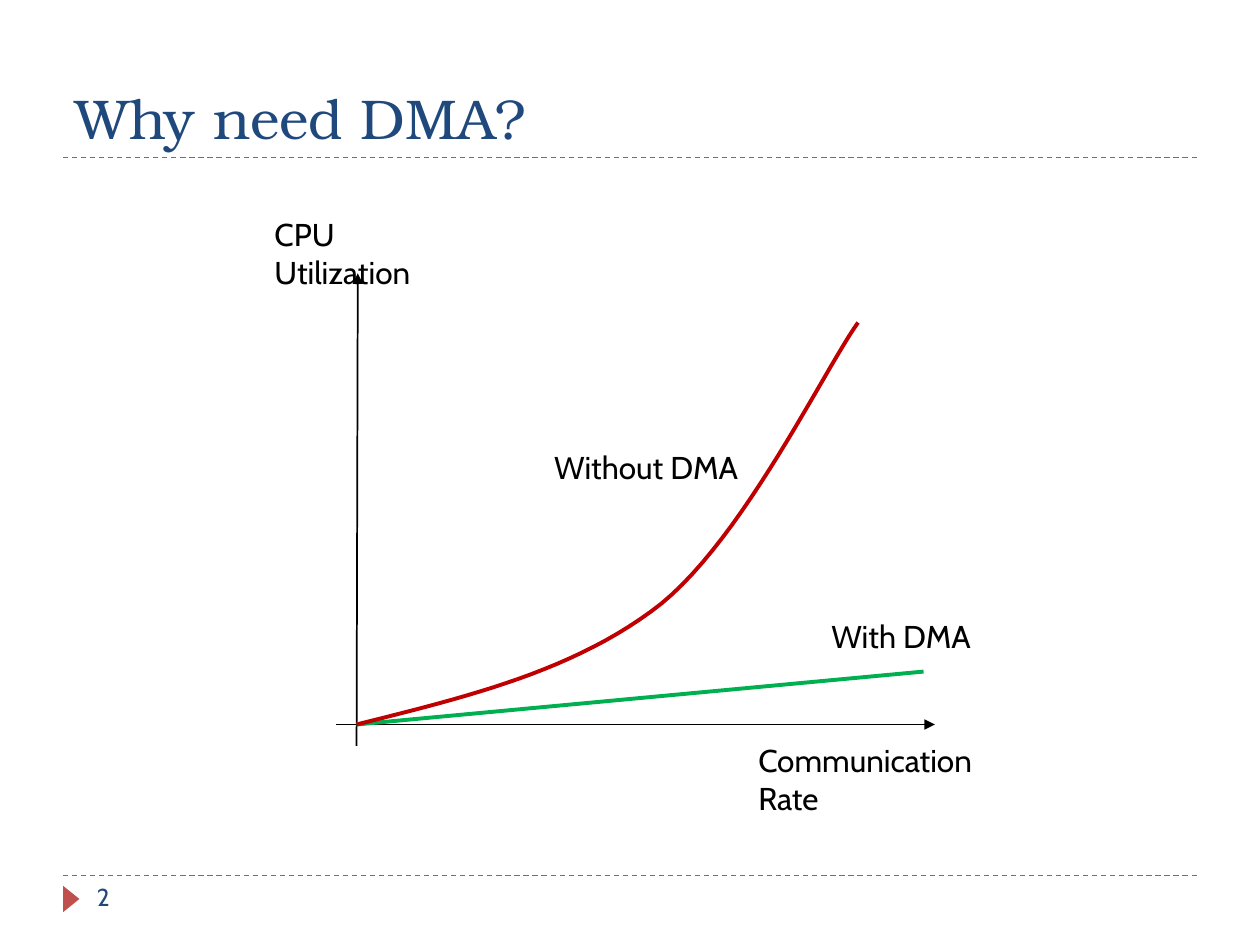
import pptx
import pptx.dml.color
import pptx.enum.dml
import pptx.enum.shapes
import pptx.enum.text
import pptx.oxml.ns
import pptx.util
from dataclasses import dataclass
from lxml import etree
from pptx.util import Inches


@dataclass(frozen=True)
class Theme:
    heading_font: str = "TeX Gyre Bonum"
    body_font: str = "Cabin"
    title_size: int = 32
    label_size: int = 18
    number_size: int = 14
    navy: str = "1F497D"
    accent: str = "C0504D"
    black: str = "000000"
    with_dma: str = "00B050"
    without_dma: str = "C00000"


theme = Theme()
rgb = pptx.dml.color.RGBColor.from_string
presentation = pptx.Presentation()
presentation.slide_width = Inches(10)
presentation.slide_height = Inches(7.5)
slide = presentation.slides.add_slide(presentation.slide_layouts[5])


def add_line(start, end, color, width, dashed=False, arrow=False):
    connector = slide.shapes.add_connector(
        pptx.enum.shapes.MSO_CONNECTOR.STRAIGHT,
        *(Inches(value) for value in (*start, *end)))
    connector.line.color.rgb = rgb(color)
    connector.line.width = pptx.util.Pt(width)
    if dashed:
        connector.line.dash_style = pptx.enum.dml.MSO_LINE.DASH
    if arrow:
        etree.SubElement(connector.line._get_or_add_ln(),
                         pptx.oxml.ns.qn("a:tailEnd"), type="triangle")
    etree.SubElement(connector._element.spPr, pptx.oxml.ns.qn("a:effectLst"))


def add_text(text, left, top, width, size, color):
    box = slide.shapes.add_textbox(
        Inches(left), Inches(top), Inches(width), Inches(0.4))
    box.text_frame.word_wrap = True
    paragraph = box.text_frame.paragraphs[0]
    paragraph.text = text
    paragraph.font.name = theme.body_font
    paragraph.font.size = pptx.util.Pt(size)
    paragraph.font.color.rgb = rgb(color)


# Rules and slide number marker
for rule_y in (6.95, 1.25):
    add_line((0.5, rule_y), (9.5, rule_y), theme.accent, 0.75, dashed=True)
marker = slide.shapes.add_shape(
    pptx.enum.shapes.MSO_SHAPE.ISOSCELES_TRIANGLE,
    Inches(0.46), Inches(7.07), Inches(0.21), Inches(0.13))
marker.rotation = 90
marker.shadow.inherit = False
marker.fill.solid()
marker.fill.fore_color.rgb = rgb(theme.accent)
marker.line.fill.background()
add_text("2", 0.67, 6.95, 2.17, theme.number_size, theme.navy)

# Title
title = slide.shapes.title
title.left, title.top = Inches(0.5), Inches(0.17)
title.width, title.height = Inches(9), Inches(1.08)
title.text_frame.auto_size = pptx.enum.text.MSO_AUTO_SIZE.NONE
title.text_frame.vertical_anchor = pptx.enum.text.MSO_ANCHOR.BOTTOM
paragraph = title.text_frame.paragraphs[0]
paragraph.text = "Why need DMA?"
paragraph.alignment = pptx.enum.text.PP_ALIGN.LEFT
paragraph.font.name = theme.heading_font
paragraph.font.size = pptx.util.Pt(theme.title_size)
paragraph.font.color.rgb = rgb(theme.navy)

# Axes and the straight line with DMA
origin = (2.83, 5.75)
add_line((2.67, 5.75), (7.42, 5.75), theme.black, 1, arrow=True)
add_line((2.83, 5.92), (2.84, 2.17), theme.black, 1, arrow=True)
add_line(origin, (7.33, 5.33), theme.with_dma, 2.25)

# Curve without DMA, sampled from two cubic Bezier segments
segments = [
    (origin, (3.71, 5.53), (4.58, 5.32), (5.25, 4.79)),
    ((5.25, 4.79), (5.91, 4.25), (6.54, 2.94), (6.81, 2.56)),
]
steps = 24
curve_points = []
for segment in segments:
    for step in range(1, steps + 1):
        t = step / steps
        weights = ((1 - t) ** 3, 3 * t * (1 - t) ** 2, 3 * t ** 2 * (1 - t), t ** 3)
        curve_points.append(tuple(
            Inches(sum(weight * point[axis] for weight, point in zip(weights, segment)))
            for axis in (0, 1)))
builder = slide.shapes.build_freeform(Inches(origin[0]), Inches(origin[1]))
builder.add_line_segments(curve_points, close=False)
curve = builder.convert_to_shape()
curve.shadow.inherit = False
curve.fill.background()
curve.line.color.rgb = rgb(theme.without_dma)
curve.line.width = pptx.util.Pt(2.25)

# Axis and curve labels
labels = [
    ("Communication Rate", 5.92, 5.83, 2.3),
    ("CPU Utilization", 2.08, 1.66, 1.7),
    ("Without DMA", 4.3, 3.51, 1.7),
    ("With DMA", 6.5, 4.85, 1.36),
]
for text, left, top, width in labels:
    add_text(text, left, top, width, theme.label_size, theme.black)

presentation.save("out.pptx")
